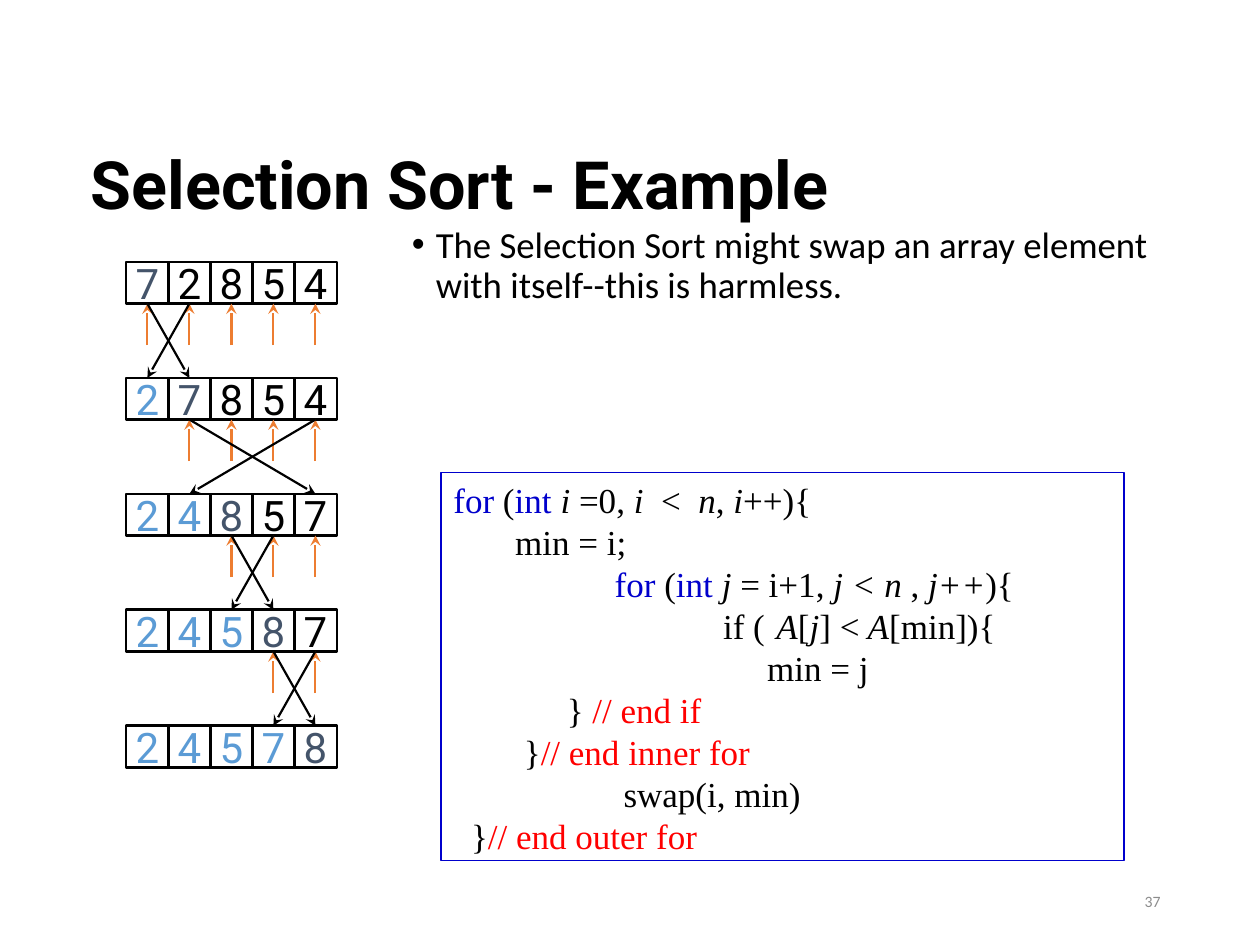
import pptx
import pptx.util
import pptx.dml.color
import pptx.enum.shapes
import pptx.enum.text
import pptx.oxml.ns
from lxml import etree

Inches = pptx.util.Inches
Pt = pptx.util.Pt
Anchor = pptx.enum.text.MSO_ANCHOR
Align = pptx.enum.text.PP_ALIGN
Shape = pptx.enum.shapes.MSO_SHAPE
qn = pptx.oxml.ns.qn

COLORS = {
    "ink": "000000",
    "sorted": "5B9BD5",
    "current": "44546A",
    "scan": "ED7D31",
    "keyword": "0000CC",
    "comment": "FF0000",
    "number": "8C8C8C",
}

# Array grid: one row per pass, one column per element
START = [7, 2, 8, 5, 4]
GRID_LEFT, GRID_TOP = 1, 2.08
COLUMN_STEP, ROW_STEP = 1 / 3, 0.92
CELL_WIDTH, CELL_HEIGHT = 0.34, 0.33
SCAN_LENGTH = 0.33

# Code lines: first-line indent in inches, then (text, style) runs
CODE = [
    (0, [("for", "keyword"), (" (", ""), ("int ", "keyword"), ("i ", "italic"),
         ("=0, ", ""), ("i  ", "italic"), ("<  ", ""), ("n", "italic"),
         (", ", ""), ("i", "italic"), ("++){", "")]),
    (0.49, [("min = i;", "")]),
    (1.28, [("for", "keyword"), (" (", ""), ("int ", "keyword"), ("j ", "italic"),
            ("= i+1, ", ""), ("j < n ", "italic"), (", ", ""),
            ("j++", "italic"), ("){", "")]),
    (2.14, [("if (\t", ""), (" A", "italic"), ("[", ""), ("j", "italic"),
            ("] <", ""), (" A", "italic"), ("[min]){", "")]),
    (2.49, [("min = j", "")]),
    (0.9, [("} ", ""), ("// end if", "comment")]),
    (0.56, [("}", ""), ("// end inner for", "comment")]),
    (1.35, [("swap(i, min)", "")]),
    (0.14, [("}", ""), ("// end outer for", "comment")]),
]


def rgb(name):
    return pptx.dml.color.RGBColor.from_string(COLORS[name])


def set_font(font, face, size, color, bold=False):
    font.name = face
    font.size = Pt(size)
    font.bold = bold
    font.color.rgb = rgb(color)


def set_indent(paragraph, margin, first_line):
    properties = paragraph._p.get_or_add_pPr()
    properties.set("marL", str(Inches(margin)))
    properties.set("indent", str(Inches(first_line)))
    return properties


def add_text(slide, box, text, face, size, color="ink", bold=False,
             anchor=Anchor.TOP, align=Align.LEFT):
    frame = slide.shapes.add_textbox(*map(Inches, box)).text_frame
    frame.word_wrap = True
    frame.vertical_anchor = anchor
    paragraph = frame.paragraphs[0]
    paragraph.text = text
    paragraph.alignment = align
    set_font(paragraph.font, face, size, color, bold)
    return frame


def add_outline(slide, kind, box, color, width):
    outline = slide.shapes.add_shape(kind, *map(Inches, box))
    outline.shadow.inherit = False
    outline.fill.background()
    outline.line.color.rgb = rgb(color)
    outline.line.width = Pt(width)
    return outline


def add_cell(slide, row, column, value):
    box = (GRID_LEFT + column * COLUMN_STEP, GRID_TOP + row * ROW_STEP,
           CELL_WIDTH, CELL_HEIGHT)
    cell = add_outline(slide, Shape.FLOWCHART_PROCESS, box, "ink", 1.5)
    frame = cell.text_frame
    frame.word_wrap = False
    frame.vertical_anchor = Anchor.MIDDLE
    digit = frame.paragraphs[0]
    digit.text = str(value)
    digit.alignment = Align.CENTER
    color = "sorted" if column < row else "current" if column == row else "ink"
    set_font(digit.font, "Roboto", 24, color)
    return cell


def add_arrow(slide, begin, end, color):
    arrow = slide.shapes.add_connector(
        pptx.enum.shapes.MSO_CONNECTOR.STRAIGHT, *begin, *end)
    arrow.line.color.rgb = rgb(color)
    arrow.line.width = Pt(1.25)
    etree.SubElement(arrow.line._get_or_add_ln(), qn("a:tailEnd"), type="stealth")
    etree.SubElement(arrow._element.spPr, qn("a:effectLst"))
    return arrow


def bottom_middle(cell):
    return cell.left + cell.width // 2, cell.top + cell.height


def add_scan_arrow(slide, cell):
    x, y = bottom_middle(cell)
    arrow = add_arrow(slide, (x, y + Inches(SCAN_LENGTH)), (x, y), "scan")
    arrow.end_connect(cell, 2)


def add_swap_arrow(slide, source, target):
    end = target.left + target.width // 2, target.top
    arrow = add_arrow(slide, bottom_middle(source), end, "ink")
    arrow.begin_connect(source, 2)
    arrow.end_connect(target, 0)


def add_sort_passes(slide):
    values = list(START)
    swaps, rows = [], []
    for row in range(len(values)):
        rows.append([add_cell(slide, row, column, value)
                     for column, value in enumerate(values)])
        smallest = values.index(min(values[row:]))
        swaps.append((row, smallest))
        values[row], values[smallest] = values[smallest], values[row]

    for (first, second), upper, lower in zip(swaps, rows, rows[1:]):
        for cell in upper[first:]:
            add_scan_arrow(slide, cell)
        add_swap_arrow(slide, upper[first], lower[second])
        add_swap_arrow(slide, upper[second], lower[first])


def add_code(slide):
    listing = add_outline(slide, Shape.RECTANGLE, (3.5, 3.75, 5.42, 3.08),
                          "keyword", 0.75)
    frame = listing.text_frame
    frame.word_wrap = True
    frame.vertical_anchor = Anchor.TOP
    for number, (indent, runs) in enumerate(CODE):
        line = frame.add_paragraph() if number else frame.paragraphs[0]
        line.alignment = Align.LEFT
        line.line_spacing = Pt(24)
        set_indent(line, 0, indent)
        for text, style in runs:
            run = line.add_run()
            run.text = text
            color = style if style in COLORS else "ink"
            set_font(run.font, "Times New Roman", 20, color)
            run.font.italic = style == "italic"


def add_remark(slide):
    frame = add_text(
        slide, (3.17, 1.75, 6.42, 5.33),
        "The Selection Sort might swap an array element with itself--this is harmless.",
        "Calibri", 21)
    remark = frame.paragraphs[0]
    remark.line_spacing = 0.9
    remark.space_before = Pt(7.5)
    properties = set_indent(remark, 0.19, -0.19)
    bullet_font = etree.Element(qn("a:buFont"), typeface="Arial")
    bullet = etree.Element(qn("a:buChar"), char="•")
    properties.find(qn("a:spcBef")).addnext(bullet_font)
    bullet_font.addnext(bullet)


def add_title(slide):
    frame = add_text(slide, (0.67, 0.52, 7.92, 1.25), "Selection Sort - Example",
                     "Roboto", 38, bold=True, anchor=Anchor.BOTTOM)
    frame.margin_left = frame.margin_right = Inches(0.05)
    frame.margin_top = frame.margin_bottom = 0


def main():
    deck = pptx.Presentation()
    deck.slide_width, deck.slide_height = Inches(10), Inches(7.5)
    slide = deck.slides.add_slide(deck.slide_layouts[6])

    add_remark(slide)
    add_sort_passes(slide)
    add_title(slide)
    add_code(slide)
    # Slide number
    add_text(slide, (7.06, 6.95, 2.25, 0.4), "37", "Calibri", 9, "number",
             anchor=Anchor.MIDDLE, align=Align.RIGHT)

    deck.save("out.pptx")


if __name__ == "__main__":
    main()
